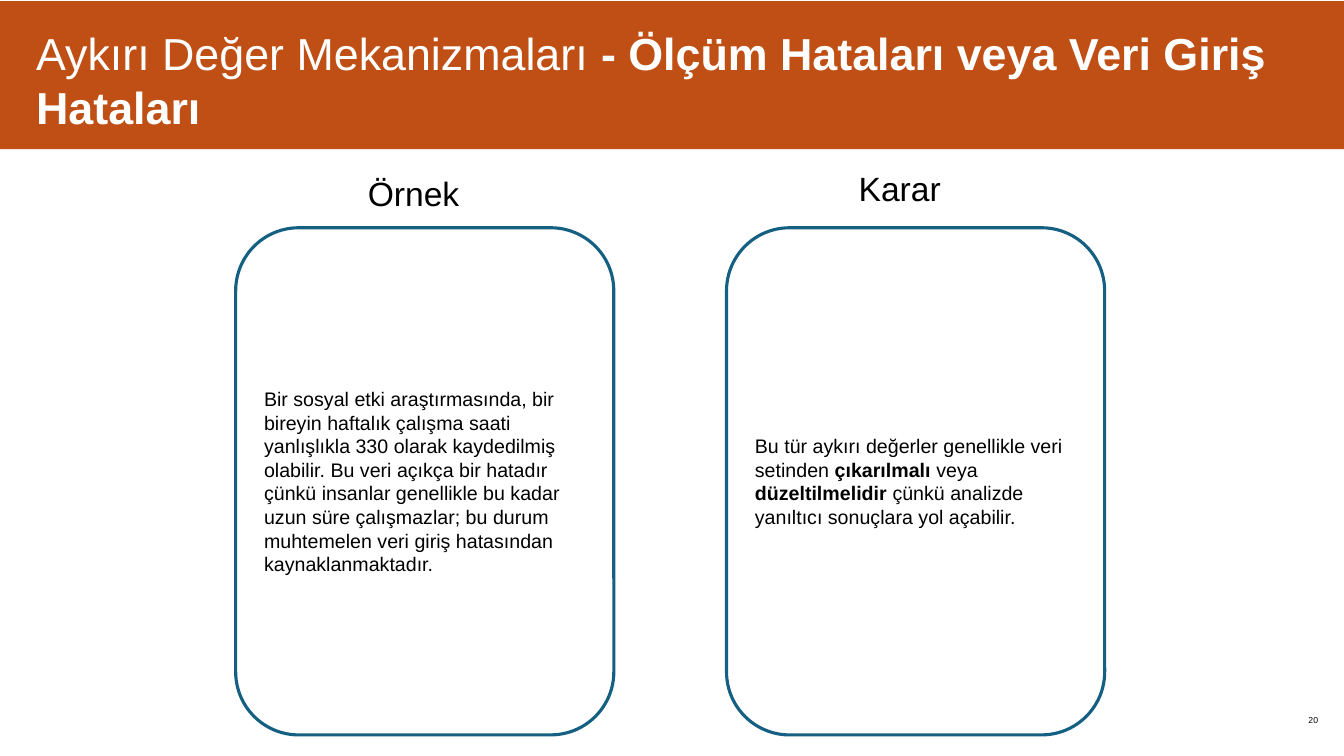
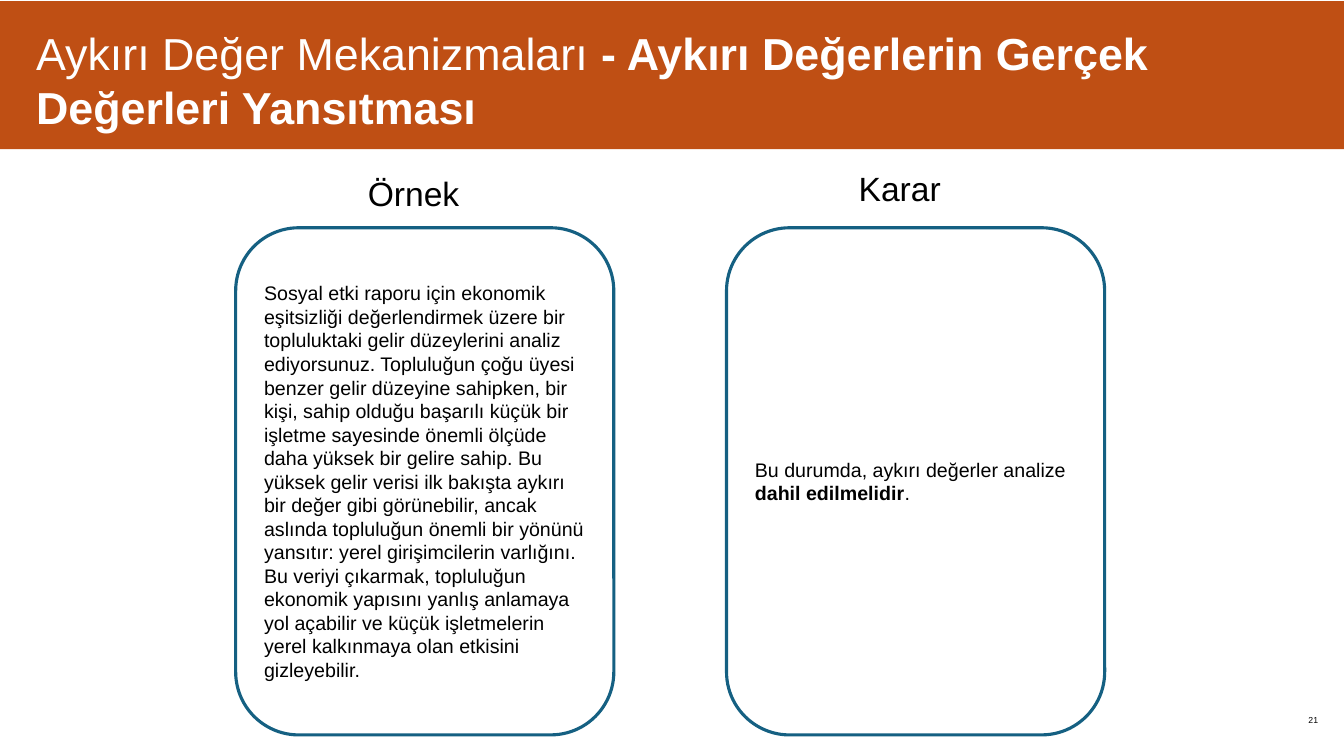
from dataclasses import dataclass

from pptx import Presentation
from pptx.dml.color import RGBColor
from pptx.enum.shapes import MSO_SHAPE as Preset
from pptx.enum.text import MSO_ANCHOR as Anchor, MSO_AUTO_SIZE as AutoSize, PP_ALIGN as Align
from pptx.shapes.autoshape import Shape
from pptx.slide import Slide
from pptx.util import Cm, Pt

FONT = "Arial"
ORANGE, BLUE, WHITE, BLACK = "BF4F14", "156082", "FFFFFF", "000000"
TITLE_START = "Aykırı Değer Mekanizmaları"
CARD_TOP, CARD_WIDTH, CARD_HEIGHT = 5.74, 9.53, 12.78
LABEL_OFFSET, LABEL_WIDTH, LABEL_HEIGHT = 3.08, 3.35, 1.27


@dataclass(frozen=True)
class Column:
    """Heading and horizontal place of a card."""
    heading: str
    left: float
    heading_top: float


@dataclass(frozen=True)
class Content:
    """Wording of one slide; spans in a card alternate regular and bold."""
    number: int
    subject: str
    cards: tuple[tuple[str, ...], ...]


COLUMNS = (Column("Örnek", 5.94, 4.22), Column("Karar", 18.31, 4.11))

CONTENTS = (
    Content(
        20,
        "Ölçüm Hataları veya Veri Giriş Hataları",
        (
            ("Bir sosyal etki araştırmasında, bir bireyin haftalık çalışma saati yanlışlıkla "
             "330 olarak kaydedilmiş olabilir. Bu veri açıkça bir hatadır çünkü insanlar "
             "genellikle bu kadar uzun süre çalışmazlar; bu durum muhtemelen veri giriş "
             "hatasından kaynaklanmaktadır.",),
            ("Bu tür aykırı değerler genellikle veri setinden ", "çıkarılmalı ", "veya ",
             "düzeltilmelidir ", "çünkü analizde yanıltıcı sonuçlara yol açabilir."),
        ),
    ),
    Content(
        21,
        "Aykırı Değerlerin Gerçek Değerleri Yansıtması",
        (
            ("Sosyal etki raporu için ekonomik eşitsizliği değerlendirmek üzere bir "
             "topluluktaki gelir düzeylerini analiz ediyorsunuz. Topluluğun çoğu üyesi benzer "
             "gelir düzeyine sahipken, bir kişi, sahip olduğu başarılı küçük bir işletme "
             "sayesinde önemli ölçüde daha yüksek bir gelire sahip. Bu yüksek gelir verisi ilk "
             "bakışta aykırı bir değer gibi görünebilir, ancak aslında topluluğun önemli bir "
             "yönünü yansıtır: yerel girişimcilerin varlığını. Bu veriyi çıkarmak, topluluğun "
             "ekonomik yapısını yanlış anlamaya yol açabilir ve küçük işletmelerin yerel "
             "kalkınmaya olan etkisini gizleyebilir.",),
            ("Bu durumda, aykırı değerler analize ", "dahil edilmelidir", "."),
        ),
    ),
)


def color(value: str) -> RGBColor:
    """Turn a hex string into a colour."""
    return RGBColor.from_string(value)


def write(box: Shape, texts: tuple[str, ...], size: float, ink: str = BLACK,
          align: Align = Align.LEFT, anchor: Anchor = Anchor.TOP,
          inset: tuple[float, float] = (0.25, 0.13)) -> None:
    """Fill a box with one paragraph whose spans alternate regular and bold."""
    frame = box.text_frame
    frame.word_wrap = True
    frame.auto_size = AutoSize.NONE
    frame.vertical_anchor = anchor
    frame.margin_left = frame.margin_right = Cm(inset[0])
    frame.margin_top = frame.margin_bottom = Cm(inset[1])
    para = frame.paragraphs[0]
    para.alignment = align
    for index, text in enumerate(texts):
        span = para.add_run()
        span.text = text
        span.font.name = FONT
        span.font.size = Pt(size)
        span.font.bold = index % 2 == 1
        span.font.color.rgb = color(ink)


def add_panel(page: Slide, preset: Preset, left: float, top: float, width: float,
              height: float, fill: str, line: str | None = None) -> Shape:
    """Add a flat filled shape, outlined when a line colour is given."""
    panel = page.shapes.add_shape(preset, Cm(left), Cm(top), Cm(width), Cm(height))
    panel.shadow.inherit = False
    panel.fill.solid()
    panel.fill.fore_color.rgb = color(fill)
    if line:
        panel.line.color.rgb = color(line)
        panel.line.width = Pt(2.25)
    else:
        panel.line.fill.background()
    return panel


def add_frame(page: Slide, number: int, subject: str) -> None:
    """Add the page number, the band and the title above it."""
    box = page.shapes.add_textbox(Cm(31.52), Cm(17.42), Cm(2.03), Cm(1.45))
    write(box, (str(number),), 6.2, align=Align.RIGHT, anchor=Anchor.MIDDLE, inset=(0.33, 0.33))
    add_panel(page, Preset.RECTANGLE, 0, 0.03, 33.91, 3.73, ORANGE)
    title = page.shapes.title
    title.left, title.top, title.width, title.height = Cm(0.58), Cm(0.33), Cm(33.32), Cm(3.43)
    write(title, (TITLE_START, f" - {subject}"), 32, WHITE, inset=(0.33, 0.33))
    title.element.getparent().append(title.element)


def add_column(page: Slide, column: Column, texts: tuple[str, ...]) -> None:
    """Add a rounded card and its heading."""
    card = add_panel(page, Preset.ROUNDED_RECTANGLE, column.left, CARD_TOP,
                     CARD_WIDTH, CARD_HEIGHT, WHITE, BLUE)
    write(card, texts, 14, anchor=Anchor.MIDDLE)
    label = page.shapes.add_textbox(Cm(column.left + LABEL_OFFSET), Cm(column.heading_top),
                                    Cm(LABEL_WIDTH), Cm(LABEL_HEIGHT))
    write(label, (column.heading,), 24)


def main() -> None:
    """Build and save the deck."""
    deck = Presentation()
    deck.slide_width, deck.slide_height = Cm(33.87), Cm(19.05)
    for content in CONTENTS:
        page = deck.slides.add_slide(deck.slide_layouts[5])
        add_frame(page, content.number, content.subject)
        for column, texts in zip(COLUMNS, content.cards):
            add_column(page, column, texts)
    deck.save("out.pptx")


if __name__ == "__main__":
    main()
